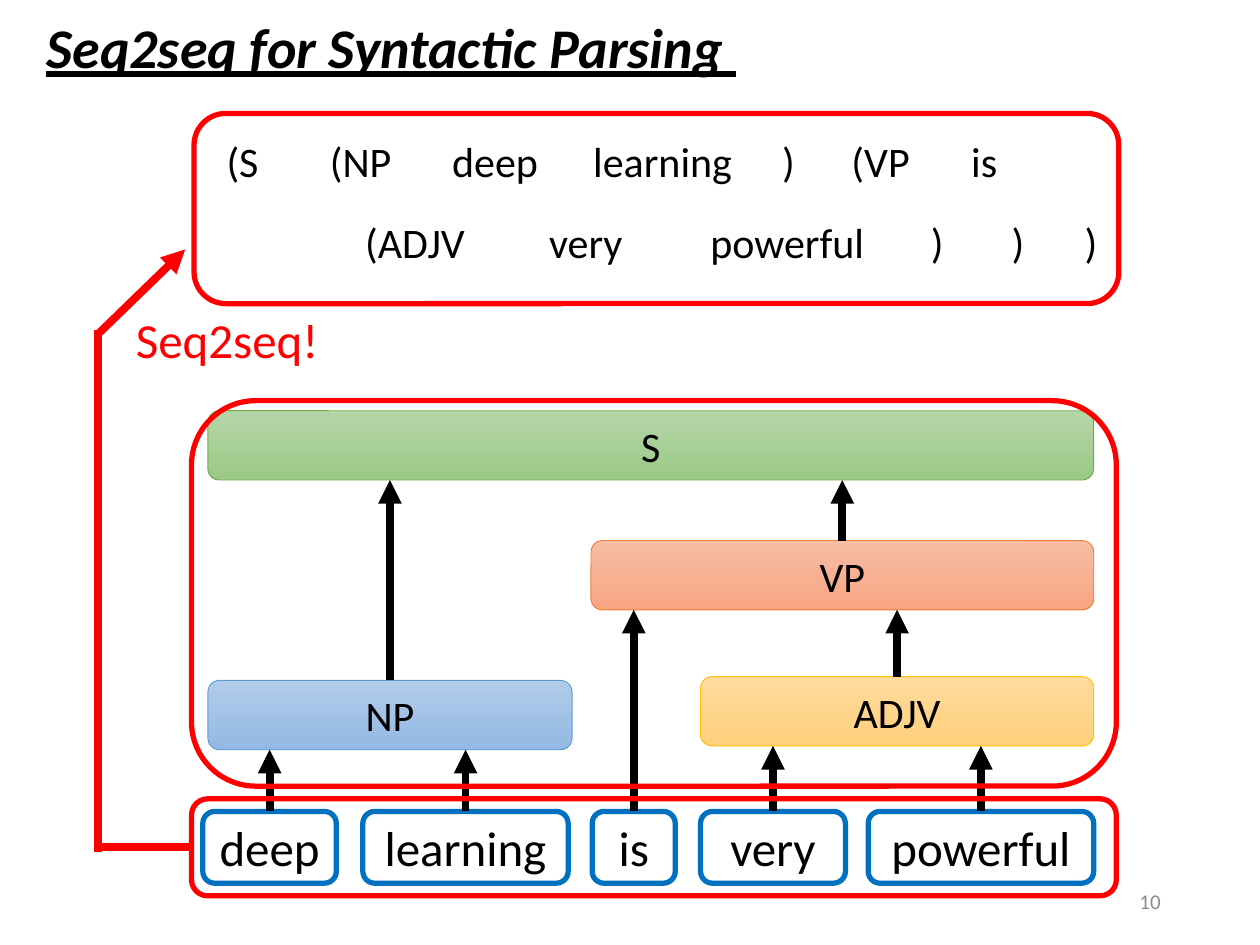
from pptx import Presentation
from pptx.dml.color import RGBColor
from pptx.enum.shapes import MSO_CONNECTOR, MSO_SHAPE
from pptx.enum.text import MSO_ANCHOR, PP_ALIGN
from pptx.oxml.ns import qn
from pptx.util import Inches, Pt
from lxml.etree import SubElement

COLORS = {
    "ink": "000000", "signal": "FF0000", "word": "0070C0", "number": "8C8C8C",
    "VP": ("F7BDA5", "F8A582", "ED7D31"),
    "S": ("B5D5A7", "9CC987", "70AD47"),
    "NP": ("B1CBE9", "93B9E4", "5B9BD5"),
    "ADJV": ("FFDB9E", "FFD07C", "FFC000"),
}
COLUMNS, ROWS = 100, 75


class ParsingSlide:
    """Draws the slide's elements on a grid of 100 columns by 75 rows."""

    font = "Calibri"

    def __init__(self, deck):
        self.slide = deck.slides.add_slide(deck.slide_layouts[6])
        self.shapes = self.slide.shapes
        self.column = deck.slide_width / COLUMNS
        self.row = deck.slide_height / ROWS

    def place(self, across, down):
        return round(across * self.column), round(down * self.row)

    def add_text(self, holder, text, size, color="ink", align=PP_ALIGN.LEFT):
        paragraph = holder.text_frame.paragraphs[0]
        paragraph.alignment = align
        run = paragraph.add_run()
        run.text = text
        run.font.name, run.font.size = self.font, Pt(size)
        run.font.color.rgb = RGBColor.from_string(COLORS[color])
        return run

    def label(self, text, area, size, color="ink", align=PP_ALIGN.LEFT,
              anchor=MSO_ANCHOR.TOP, wrap=True):
        left, top, width, height = area
        holder = self.shapes.add_textbox(*self.place(left, top), *self.place(width, height))
        holder.text_frame.word_wrap = wrap
        holder.text_frame.vertical_anchor = anchor
        return holder, self.add_text(holder, text, size, color, align)

    def rounded(self, area, line, weight):
        left, top, width, height = area
        box = self.shapes.add_shape(MSO_SHAPE.ROUNDED_RECTANGLE,
                                    *self.place(left, top), *self.place(width, height))
        box.shadow.inherit = False
        box.fill.background()
        box.line.color.rgb = RGBColor.from_string(line)
        box.line.width = Pt(weight)
        return box

    def frame(self, area):
        return self.rounded(area, COLORS["signal"], 3)

    def centre(self, box, text, size):
        box.text_frame.word_wrap = False
        box.text_frame.margin_left = box.text_frame.margin_right = 0
        box.text_frame.vertical_anchor = MSO_ANCHOR.MIDDLE
        self.add_text(box, text, size, align=PP_ALIGN.CENTER)
        return box

    def word(self, text, left, width):
        box = self.rounded((left, 64.4, width, 5.7), COLORS["word"], 3)
        return self.centre(box, text, 28)

    def phrase(self, text, left, top, width):
        upper, lower, edge = COLORS[text]
        box = self.rounded((left, top, width, 5.5), edge, 0.5)
        box.fill.gradient()
        box.fill.gradient_angle = 270
        for stop, shade in zip(box.fill.gradient_stops, (upper, lower)):
            stop.color.rgb = RGBColor.from_string(shade)
        return self.centre(box, text, 24)

    def line(self, start, end, color, arrow=False):
        link = self.shapes.add_connector(MSO_CONNECTOR.STRAIGHT, *start, *end)
        link.line.color.rgb = RGBColor.from_string(COLORS[color])
        link.line.width = Pt(4.5)
        properties = link._element.spPr
        if arrow:
            SubElement(properties.find(qn("a:ln")), qn("a:tailEnd"), type="triangle")
        SubElement(properties, qn("a:effectLst"))
        return link

    def rise(self, child, parent):
        middle = child.left + child.width // 2
        link = self.line((middle, child.top), (middle, parent.top + parent.height), "ink", True)
        link.begin_connect(child, 0)

    def tokens(self, row, entries):
        return [self.label(text, (left, row, width, 5), 24)[0] for text, left, width in entries]


def main():
    deck = Presentation()
    deck.slide_width, deck.slide_height = Inches(10), Inches(7.5)
    page = ParsingSlide(deck)

    sentence = (("deep", 16.1, 10.6), ("learning", 28.8, 16.3), ("is", 47, 6.6),
                ("very", 55.6, 11.5), ("powerful", 68.9, 17.9))
    phrases = (("VP", 46.9, 42.9, 39.9), ("S", 16.5, 32.6, 70.3),
               ("NP", 16.5, 54, 28.9), ("ADJV", 55.6, 53.7, 31.2))
    parents = {"deep": "NP", "learning": "NP", "very": "ADJV", "powerful": "ADJV",
               "ADJV": "VP", "is": "VP", "VP": "S", "NP": "S"}
    nodes = {entry[0]: page.word(*entry) for entry in sentence}
    nodes.update({entry[0]: page.phrase(*entry) for entry in phrases})
    for child, parent in parents.items():
        page.rise(nodes[child], nodes[parent])

    title = page.label("Seq2seq for Syntactic Parsing ", (2.7, 0.5, 57.1, 6.4), 32, wrap=False)[1]
    title.font.bold = title.font.italic = title.font.underline = True
    page.label("Seq2seq!", (9.8, 24.1, 17.5, 5.7), 28, "signal")

    page.frame((15.2, 31.8, 73.4, 30.6))
    source = page.frame((15.2, 63.4, 73.4, 7.7))
    page.line(page.place(7.8, 67.6), page.place(7.8, 26.2), "signal")
    exit_point = source.left, source.top + source.height // 2
    page.line(exit_point, (page.place(7.8, 0)[0], exit_point[1]), "signal").begin_connect(source, 1)
    page.line(page.place(7.9, 26.4), page.place(14.7, 19.8), "signal", True)

    opening = page.tokens(10.3, (
        ("(S", 17, 9.7), ("(NP", 25.2, 9.7), ("deep", 34.9, 9.7), ("learning", 46.1, 14.7),
        (")", 61.1, 5.5), ("(VP", 66.6, 9.7), ("is", 76.1, 14.7)))
    closing = page.tokens(16.7, (
        ("(ADJV", 28, 12.5), ("very", 42.6, 14.7), ("powerful", 55.4, 14.7),
        (")", 72.9, 5.5), (")", 79.3, 5.5), (")", 85.1, 5.5)))
    target = page.frame((15.4, 9, 73.4, 15.1))
    page.shapes.add_group_shape([*opening, *closing, target])

    page.label("10", (70.6, 69.5, 22.5, 4), 12, "number", PP_ALIGN.RIGHT, MSO_ANCHOR.MIDDLE)
    deck.save("out.pptx")


if __name__ == "__main__":
    main()
